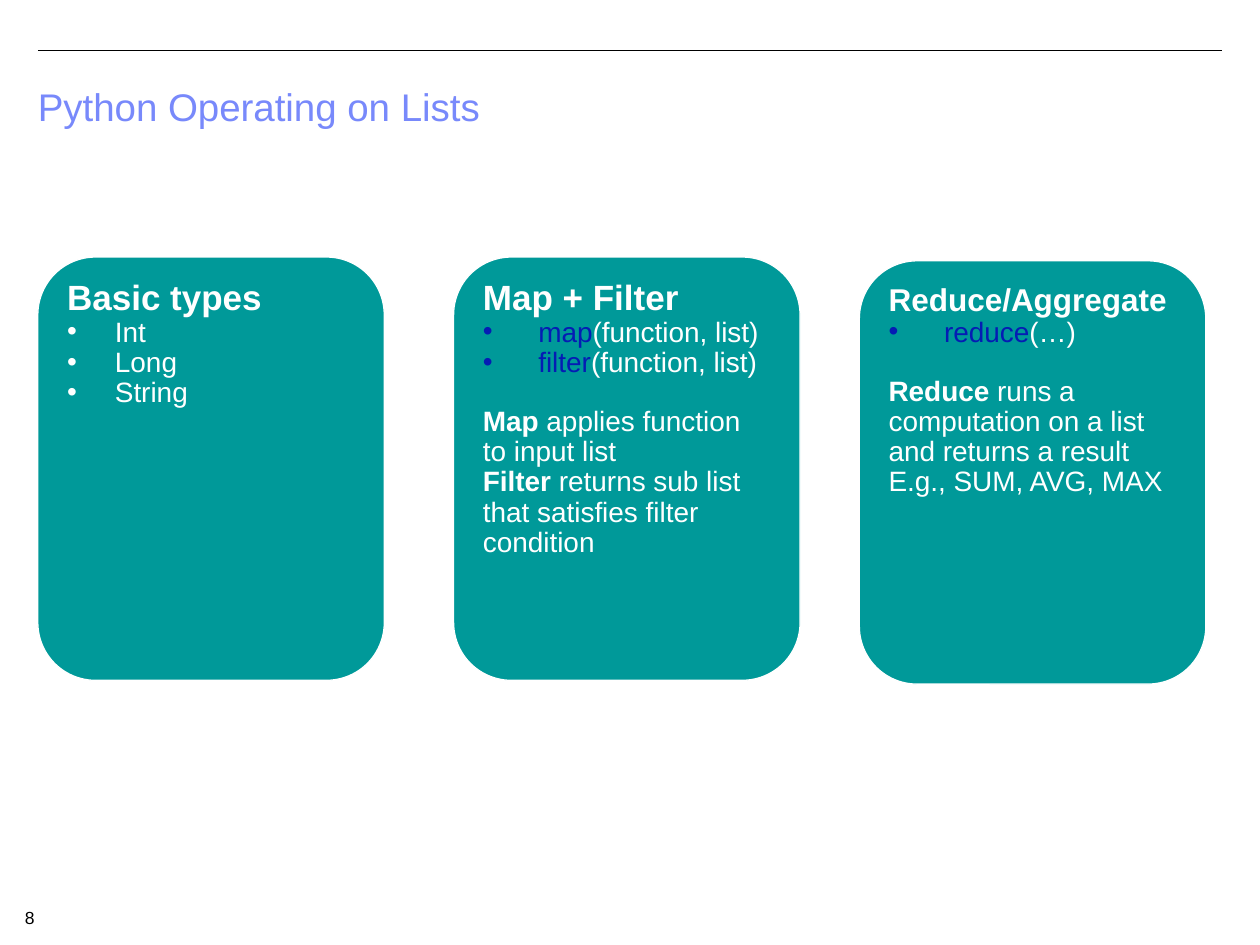
"""Build the slide on Python list operations with three cards."""
from lxml.etree import SubElement
from pptx import Presentation
from pptx.dml.color import RGBColor
from pptx.enum.shapes import MSO_CONNECTOR as Connector, MSO_SHAPE as Shape
from pptx.enum.text import MSO_ANCHOR as Anchor, PP_ALIGN as Align
from pptx.oxml.ns import qn
from pptx.util import Inches, Pt

COLORS = {"title": "7889FB", "card": "009999", "white": "FFFFFF",
          "code": "051CB4", "black": "000000"}
FONT = "Arial"
TITLE = "Python Operating on Lists"
PAGE_NUMBER = "8"
CARDS = [
    {"at": (0.3, 2.04), "heading": "Basic types", "size": 20, "indent": 0.38,
     "bullets": [("", "Int"), ("", "Long"), ("", "String")],
     "notes": []},
    {"at": (3.6, 2.04), "heading": "Map + Filter", "size": 20, "indent": 0.44,
     "bullets": [("map", "(function, list)"), ("filter", "(function, list)")],
     "notes": [("Map", " applies function to input list"),
               ("Filter", " returns sub list that satisfies filter condition")]},
    {"at": (6.82, 2.07), "heading": "Reduce/Aggregate", "size": 18, "indent": 0.44,
     "bullets": [("reduce", "(…)")],
     "notes": [("Reduce", " runs a computation on a list and returns a result"),
               ("", "E.g., SUM, AVG, MAX")]},
]
CARD_SIZE = (2.75, 3.36)
BODY_SIZE = 16
LINE_SPACING = 0.9
NOTES_GAP = 16.56


def rgb(name):
    return RGBColor.from_string(COLORS[name])


def format_run(run, size, color, bold=False):
    run.font.name = FONT
    run.font.size = Pt(size)
    run.font.bold = bold
    run.font.color.rgb = rgb(color)


def write(paragraph, parts):
    paragraph.alignment = Align.LEFT
    paragraph.line_spacing = LINE_SPACING
    for text, size, color, bold in parts:
        if text:
            run = paragraph.add_run()
            run.text = text
            format_run(run, size, color, bold)


def add_bullet(paragraph, indent):
    properties = paragraph._p.get_or_add_pPr()
    properties.set("marL", str(Inches(indent)))
    properties.set("indent", str(-Inches(indent)))
    SubElement(properties, qn("a:buFont"), typeface=FONT)
    SubElement(properties, qn("a:buChar"), char="•")


def add_card(slide, card):
    shape = slide.shapes.add_shape(
        Shape.ROUNDED_RECTANGLE, *map(Inches, card["at"] + CARD_SIZE))
    shape.shadow.inherit = False
    shape.fill.solid()
    shape.fill.fore_color.rgb = rgb("card")
    shape.line.color.rgb = rgb("white")
    shape.line.width = Pt(0.75)
    frame = shape.text_frame
    frame.word_wrap = True
    frame.vertical_anchor = Anchor.TOP
    write(frame.paragraphs[0], [(card["heading"], card["size"], "white", True)])
    for code, text in card["bullets"]:
        paragraph = frame.add_paragraph()
        write(paragraph, [(code, BODY_SIZE, "code", False),
                          (text, BODY_SIZE, "white", False)])
        add_bullet(paragraph, card["indent"])
    for index, (term, text) in enumerate(card["notes"]):
        paragraph = frame.add_paragraph()
        write(paragraph, [(term, BODY_SIZE, "white", True),
                          (text, BODY_SIZE, "white", False)])
        paragraph.space_before = Pt(0 if index else NOTES_GAP)


def add_frame(slide):
    rule = slide.shapes.add_connector(
        Connector.STRAIGHT, Inches(0.3), Inches(0.4), Inches(9.7), Inches(0.4))
    rule.line.color.rgb = rgb("black")
    rule.line.width = Pt(0.75)
    SubElement(rule._element.spPr, qn("a:effectLst"))

    title = slide.shapes.title
    title.left, title.top = Inches(0.2), Inches(0.65)
    title.width, title.height = Inches(9.5), Inches(0.5)
    title.text_frame.vertical_anchor = Anchor.TOP
    title.text_frame.text = TITLE
    paragraph = title.text_frame.paragraphs[0]
    paragraph.alignment = Align.LEFT
    paragraph.line_spacing = LINE_SPACING
    format_run(paragraph.runs[0], 22, "title")

    number = slide.shapes.add_textbox(
        Inches(0.1), Inches(7.15), Inches(0.4), Inches(0.2))
    number.text_frame.word_wrap = True
    number.text_frame.text = PAGE_NUMBER
    format_run(number.text_frame.paragraphs[0].runs[0], 10, "black")


def main():
    presentation = Presentation()
    presentation.slide_width, presentation.slide_height = Inches(10), Inches(7.5)
    slide = presentation.slides.add_slide(presentation.slide_layouts[5])
    add_frame(slide)
    for card in CARDS:
        add_card(slide, card)
    presentation.save("out.pptx")


if __name__ == "__main__":
    main()
